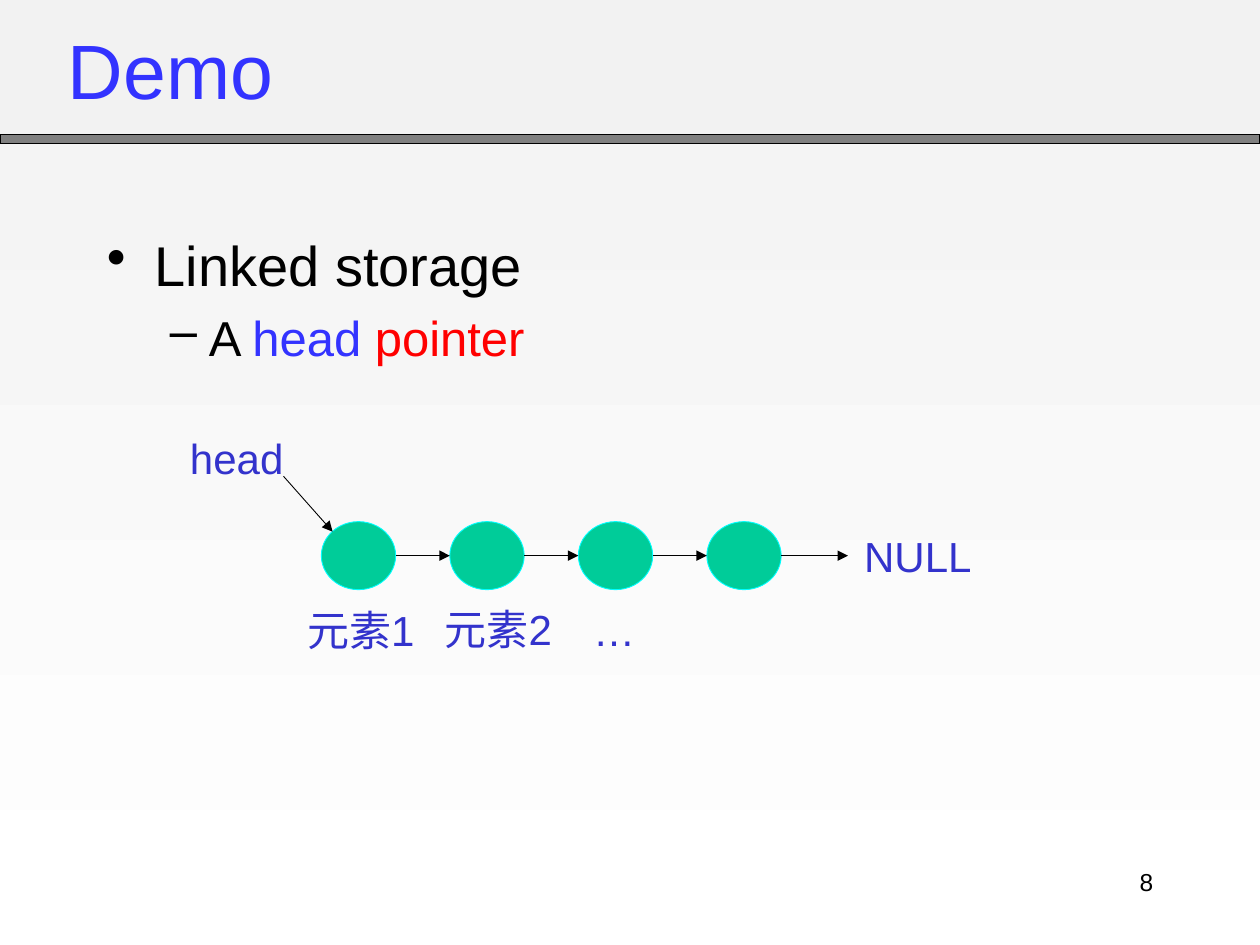
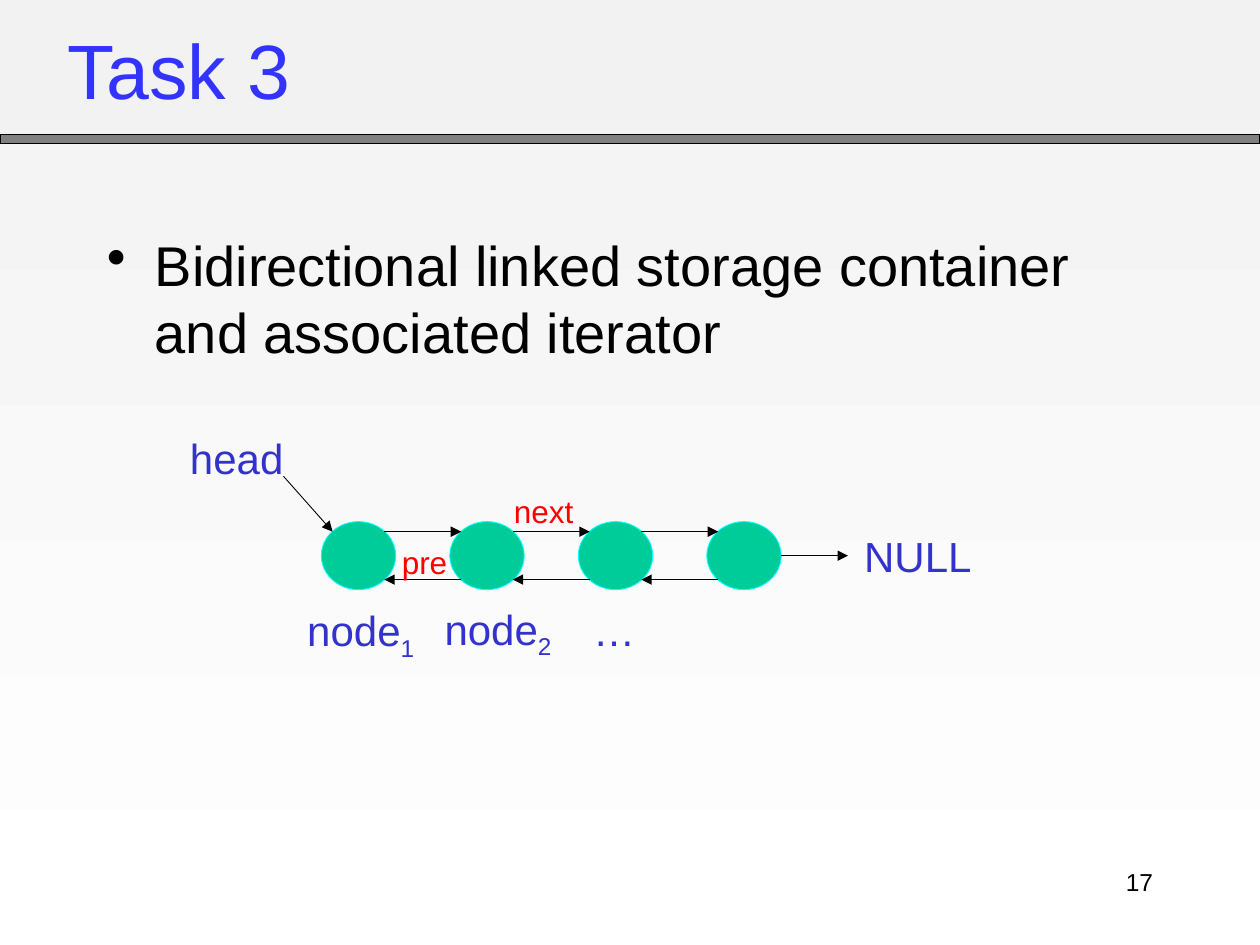
from typing import NamedTuple

from lxml import etree
from pptx import Presentation
from pptx import util as u
from pptx.dml.color import RGBColor
from pptx.enum import shapes, text
from pptx.oxml import ns

FONT = "Arial"
BLACK, GRAY, RED = "000000", "808080", "FF0000"
BLUE, NAVY = "3333FF", "3333CC"
GREEN, CYAN = "00CC99", "00FFFF"
PALE, WHITE = "F2F2F2", "FFFFFF"

LEFT, TOP, STEP = 2.55, 4.14, 1.02
WIDE, HIGH = 0.59, 0.54
MID = TOP + HIGH / 2
SIDE, EDGE = 0.09, 0.08
COUNT = 4


class Run(NamedTuple):
    text: str
    color: str = ""
    base: int = 0


class Point(NamedTuple):
    runs: list[Run]
    level: int = 0


class Label(NamedTuple):
    runs: list[Run]
    x: float
    y: float
    wide: float = 1.33
    high: float = 0.51
    size: int = 24
    color: str = NAVY


class Arrow(NamedTuple):
    x1: float
    y1: float
    x2: float
    y2: float


class Level(NamedTuple):
    size: int
    margin: float
    indent: float
    mark: str


class Page(NamedTuple):
    title: str
    number: int
    points: list[Point]
    labels: list[Label]
    arrows: list[Arrow]


LEVELS = [Level(32, 0.38, -0.38, "•"), Level(28, 0.81, -0.31, "–")]


def rgb(code: str) -> RGBColor:
    return RGBColor.from_string(code)


def write(para, runs: list[Run], *, size: int, color: str = BLACK, align=None) -> None:
    para.alignment = align
    for item in runs:
        run = para.add_run()
        run.text = item.text
        run.font.name = FONT
        run.font.size = u.Pt(size)
        run.font.color.rgb = rgb(item.color or color)
        if item.base:
            run._r.get_or_add_rPr().set("baseline", str(item.base * 1000))


def frame(slide, x: float, y: float, wide: float, high: float, anchor=text.MSO_ANCHOR.TOP):
    box = slide.shapes.add_textbox(*map(u.Inches, (x, y, wide, high)))
    box.text_frame.word_wrap = True
    box.text_frame.vertical_anchor = anchor
    return box.text_frame


def solid(slide, kind, x: float, y: float, wide: float, high: float,
          fill: str, line: str, weight: float) -> None:
    shape = slide.shapes.add_shape(kind, *map(u.Inches, (x, y, wide, high)))
    shape.shadow.inherit = False
    shape.fill.solid()
    shape.fill.fore_color.rgb = rgb(fill)
    shape.line.color.rgb = rgb(line)
    shape.line.width = u.Pt(weight)


def draw_arrow(slide, arrow: Arrow) -> None:
    line = slide.shapes.add_connector(shapes.MSO_CONNECTOR.STRAIGHT, *map(u.Inches, arrow))
    line.line.color.rgb = rgb(BLACK)
    line.line.width = u.Pt(0.5)
    tail = etree.SubElement(line.line._get_or_add_ln(), ns.qn("a:tailEnd"))
    tail.set("type", "triangle")
    etree.SubElement(line._element.spPr, ns.qn("a:effectLst"))


def draw_label(slide, label: Label) -> None:
    area = frame(slide, label.x, label.y, label.wide, label.high)
    write(area.paragraphs[0], label.runs, size=label.size, color=label.color)


def draw_points(slide, points: list[Point]) -> None:
    area = frame(slide, 0.75, 1.78, 8.5, 4.5)
    for i, point in enumerate(points):
        para = area.add_paragraph() if i else area.paragraphs[0]
        level = LEVELS[point.level]
        para.level = point.level
        para.space_before = u.Pt(0.2 * level.size)
        props = para._p.get_or_add_pPr()
        props.set("marL", str(u.Inches(level.margin)))
        props.set("indent", str(u.Inches(level.indent)))
        etree.SubElement(props, ns.qn("a:buChar")).set("char", level.mark)
        write(para, point.runs, size=level.size)


def draw_base(slide, page: Page) -> None:
    fill = slide.background.fill
    fill.gradient()
    fill.gradient_angle = 270
    for stop, code in zip(fill.gradient_stops, (PALE, WHITE)):
        stop.color.rgb = rgb(code)
    solid(slide, shapes.MSO_SHAPE.RECTANGLE, 0, 1.07, 10, 0.07, GRAY, BLACK, 0.75)
    title = frame(slide, 0.44, 0.1, 8.5, 0.89, text.MSO_ANCHOR.MIDDLE)
    write(title.paragraphs[0], [Run(page.title)], size=44, color=BLUE)
    number = frame(slide, 7.17, 6.83, 2.08, 0.5)
    write(number.paragraphs[0], [Run(str(page.number))], size=14, align=text.PP_ALIGN.RIGHT)


def draw_page(deck, page: Page) -> None:
    slide = deck.slides.add_slide(deck.slide_layouts[6])
    draw_base(slide, page)
    draw_points(slide, page.points)
    for i in range(COUNT):
        solid(slide, shapes.MSO_SHAPE.OVAL, LEFT + i * STEP, TOP, WIDE, HIGH, GREEN, CYAN, 0.5)
    for arrow in ENDS + page.arrows:
        draw_arrow(slide, arrow)
    for label in NAMES + page.labels:
        draw_label(slide, label)


def links(y: float, inset: float = 0, back: bool = False) -> list[Arrow]:
    rows = []
    for i in range(COUNT - 1):
        x1 = LEFT + i * STEP + WIDE - inset
        x2 = LEFT + (i + 1) * STEP + inset
        rows.append(Arrow(x2, y, x1, y) if back else Arrow(x1, y, x2, y))
    return rows


ENDS = [
    Arrow(LEFT + (COUNT - 1) * STEP + WIDE, MID, 6.73, MID),
    Arrow(2.25, 3.78, LEFT + SIDE, TOP + EDGE),
]
NAMES = [
    Label([Run("NULL")], 6.76, 4.16),
    Label([Run("head")], 1.41, 3.38),
    Label([Run("…")], 4.61, 4.75),
]

PAGES = [
    Page(
        "Demo", 8,
        [Point([Run("Linked storage")]),
         Point([Run("A "), Run("head ", BLUE), Run("pointer", RED)], 1)],
        [Label([Run("元素1")], 2.34, 4.75), Label([Run("元素2")], 3.43, 4.74)],
        links(MID),
    ),
    Page(
        "Task 3", 17,
        [Point([Run("Bidirectional linked storage container and associated iterator")])],
        [Label([Run("node"), Run("1", base=-25)], 2.34, 4.75),
         Label([Run("node"), Run("2", base=-25)], 3.43, 4.74),
         Label([Run("next")], 3.98, 3.86, 0.69, 0.4, 18, RED),
         Label([Run("pre")], 3.09, 4.26, 0.69, 0.4, 18, RED)],
        links(TOP + EDGE, SIDE) + links(TOP + HIGH - EDGE, SIDE, back=True),
    ),
]


def main() -> None:
    deck = Presentation()
    deck.slide_width, deck.slide_height = u.Inches(10), u.Inches(7.5)
    for page in PAGES:
        draw_page(deck, page)
    deck.save("out.pptx")


if __name__ == "__main__":
    main()
